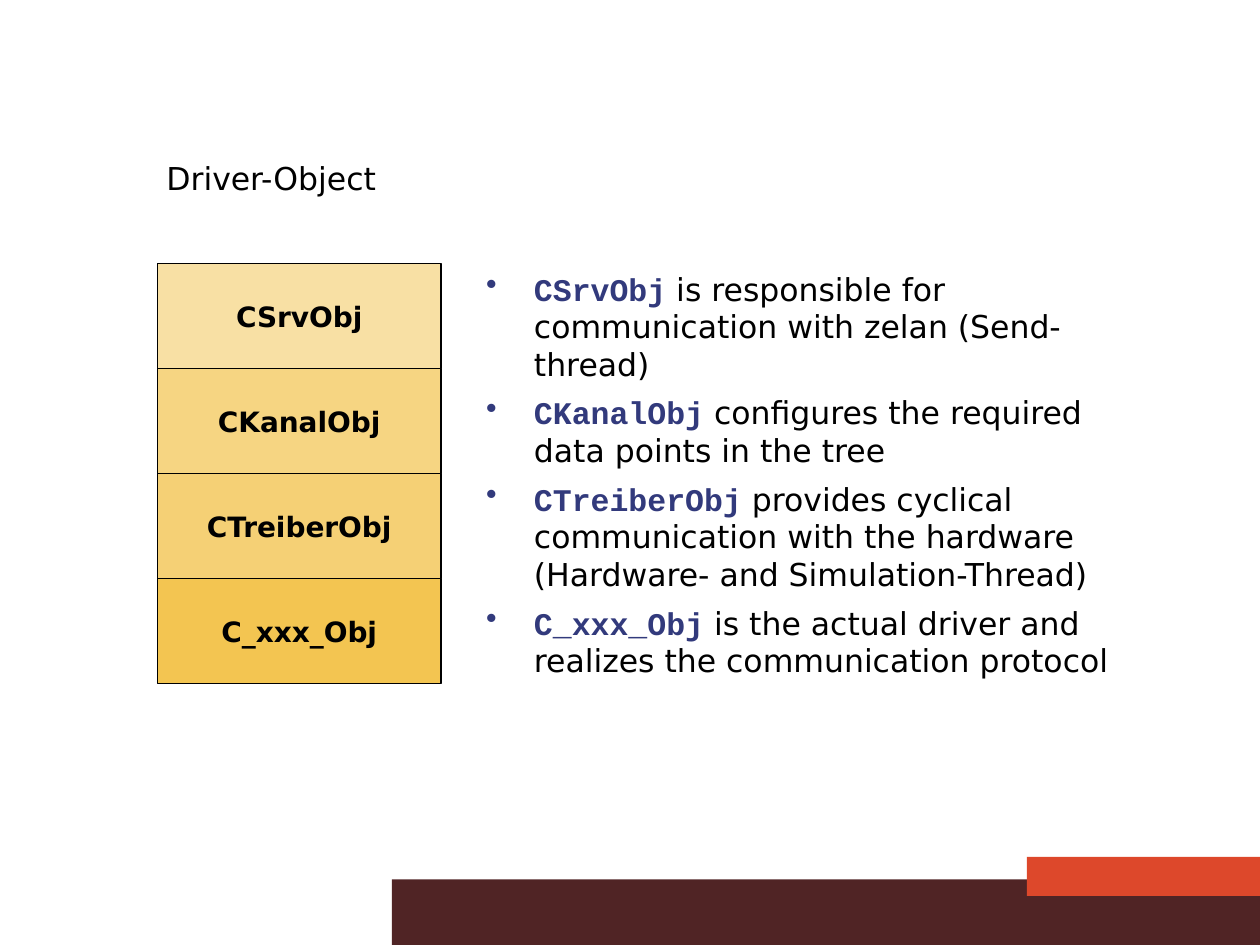
from lxml import etree
from pptx import Presentation
from pptx.dml.color import RGBColor
from pptx.enum import shapes, text
from pptx.oxml import ns
from pptx.util import Inches, Pt

BLACK = RGBColor(0x00, 0x00, 0x00)
NAVY = RGBColor(0x32, 0x3A, 0x7C)
MAROON = RGBColor(0x50, 0x24, 0x25)
ORANGE = RGBColor(0xDD, 0x48, 0x2B)
SANS, MONO = "DejaVu Sans", "Courier New"

HEADING = "Driver-Object"
LAYERS = [
    ("CSrvObj", RGBColor(0xF8, 0xE0, 0xA4),
     " is responsible for communication with zelan (Send-thread)"),
    ("CKanalObj", RGBColor(0xF6, 0xD5, 0x82),
     " configures the required data points in the tree"),
    ("CTreiberObj", RGBColor(0xF5, 0xD0, 0x75),
     " provides cyclical communication with the hardware (Hardware- and Simulation-Thread)"),
    ("C_xxx_Obj", RGBColor(0xF3, 0xC5, 0x51),
     " is the actual driver and realizes the communication protocol"),
]
FOOTER_BARS = [
    ((3.11, 6.98, 6.89, 0.52), MAROON),
    ((8.15, 6.8, 1.85, 0.31), ORANGE),
]
STACK_LEFT, STACK_TOP, STACK_WIDTH, LAYER_HEIGHT = 1.25, 2.09, 2.25, 2.5 / 3


def style(run, size, face=SANS, color=BLACK, bold=False):
    run.font.size = Pt(size)
    run.font.name = face
    run.font.color.rgb = color
    run.font.bold = bold


def add_block(slide, place, fill):
    block = slide.shapes.add_shape(
        shapes.MSO_SHAPE.RECTANGLE, *map(Inches, place))
    block.shadow.inherit = False
    block.fill.solid()
    block.fill.fore_color.rgb = fill
    block.line.fill.background()
    return block


def add_bullet(paragraph, color):
    props = paragraph._p.get_or_add_pPr()
    props.set("marL", str(Inches(0.38)))
    props.set("indent", str(-Inches(0.38)))
    tint = etree.SubElement(props, ns.qn("a:buClr"))
    etree.SubElement(tint, ns.qn("a:srgbClr"), val=str(color))
    etree.SubElement(props, ns.qn("a:buChar"), char="•")


def add_heading(slide):
    title = slide.shapes.title
    title.left, title.top, title.width, title.height = map(
        Inches, (1.22, 1.23, 7.48, 0.37))
    title.text_frame.text = HEADING
    title.text_frame.vertical_anchor = text.MSO_ANCHOR.MIDDLE
    heading = title.text_frame.paragraphs[0]
    heading.alignment = text.PP_ALIGN.LEFT
    style(heading.runs[0], 18)


def add_descriptions(slide):
    frame = slide.shapes.add_textbox(
        *map(Inches, (3.76, STACK_TOP, 5.56, 3.82))).text_frame
    frame.word_wrap = True
    for i, (name, _, role) in enumerate(LAYERS):
        item = frame.add_paragraph() if i else frame.paragraphs[0]
        item.space_before = Pt(6 if i else 0)
        add_bullet(item, NAVY)
        for words, look in ((name, (MONO, NAVY, True)), (role, (SANS, BLACK, False))):
            run = item.add_run()
            run.text = words
            style(run, 18, *look)


def add_stack(slide):
    for i, (name, fill, _) in enumerate(LAYERS):
        top = STACK_TOP + i * LAYER_HEIGHT
        layer = add_block(slide, (STACK_LEFT, top, STACK_WIDTH, LAYER_HEIGHT), fill)
        layer.line.color.rgb = BLACK
        layer.line.width = Pt(0.75)
        layer.text_frame.text = name
        layer.text_frame.word_wrap = False
        layer.text_frame.vertical_anchor = text.MSO_ANCHOR.MIDDLE
        label = layer.text_frame.paragraphs[0]
        label.alignment = text.PP_ALIGN.CENTER
        style(label.runs[0], 16, bold=True)


def main():
    deck = Presentation()
    deck.slide_width, deck.slide_height = Inches(10), Inches(7.5)
    slide = deck.slides.add_slide(deck.slide_layouts.get_by_name("Title Only"))
    for place, fill in FOOTER_BARS:
        add_block(slide, place, fill)
    add_heading(slide)
    add_descriptions(slide)
    add_stack(slide)
    deck.save("out.pptx")


if __name__ == "__main__":
    main()
